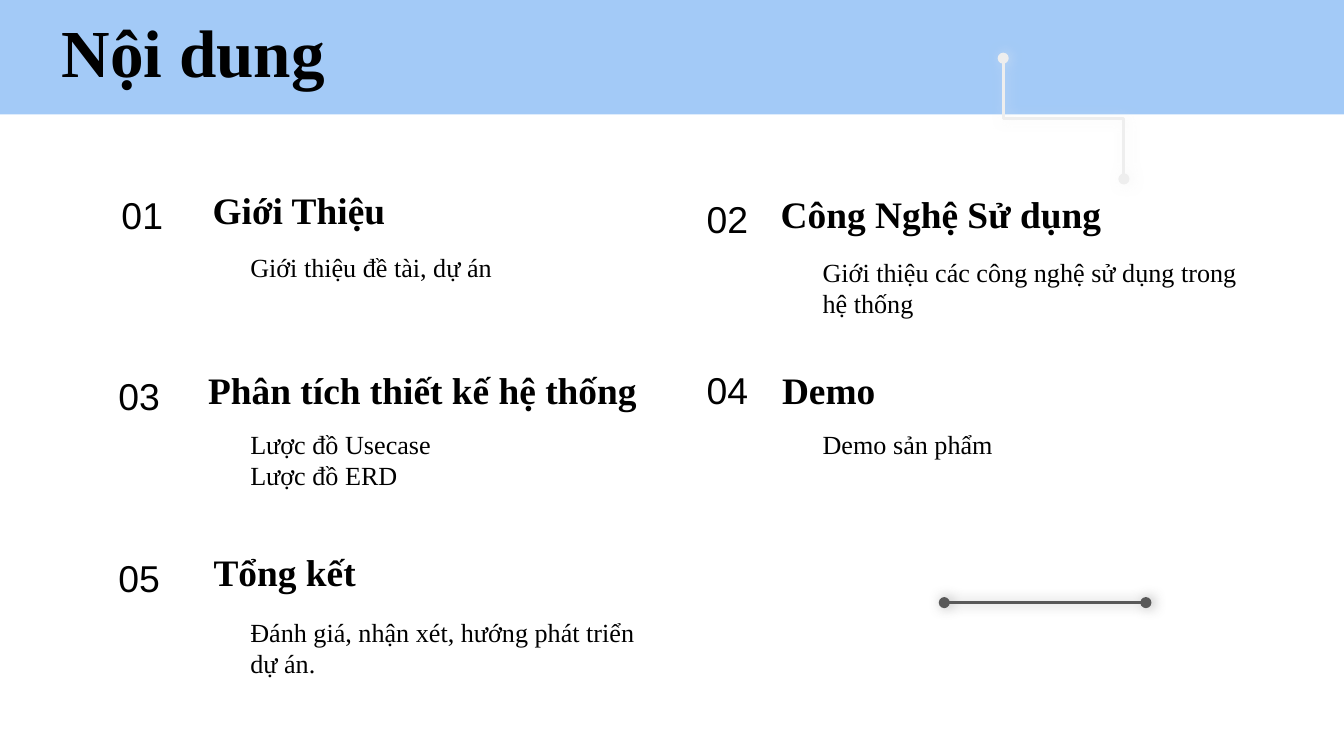
"""Build the table-of-contents slide with five numbered sections."""
from dataclasses import dataclass
from typing import NamedTuple

from lxml import etree
from pptx import Presentation
from pptx.dml.color import RGBColor
from pptx.enum.shapes import MSO_CONNECTOR, MSO_SHAPE
from pptx.enum.text import MSO_ANCHOR, MSO_AUTO_SIZE
from pptx.oxml.ns import qn
from pptx.util import Inches, Pt

ELBOW, STRAIGHT = MSO_CONNECTOR.ELBOW, MSO_CONNECTOR.STRAIGHT
RECT = MSO_SHAPE.RECTANGLE
TOP, MIDDLE = MSO_ANCHOR.TOP, MSO_ANCHOR.MIDDLE
FIT, FIXED = MSO_AUTO_SIZE.SHAPE_TO_FIT_TEXT, MSO_AUTO_SIZE.NONE
CELL = Inches(0.1)
COLUMNS, ROWS = 100, 56.25


class Box(NamedTuple):
    col: float
    row: float
    cols: float
    rows: float


@dataclass(frozen=True)
class Style:
    font: str
    size: int
    bold: bool = False
    anchor: int = TOP
    fit: int = FIXED
    inset: float = 1


@dataclass(frozen=True)
class Theme:
    band: str = "A3CAF7"
    ink: str = "000000"
    pale: str = "EEEEEE"
    dark: str = "595959"
    title: Style = Style("Times New Roman", 36, True, MIDDLE)
    heading: Style = Style("Times New Roman", 20, True, MIDDLE)
    body: Style = Style("Times New Roman", 14)
    number: Style = Style("Arial", 20, fit=FIT, inset=0.5)


@dataclass(frozen=True)
class Section:
    heading: str
    lines: tuple[str, ...]
    number_box: Box
    heading_box: Box
    body_box: Box


THEME = Theme()
SECTIONS = (
    Section("Giới Thiệu", ("Giới thiệu đề tài, dự án",),
            Box(8.06, 13.8, 5.6, 4.4), Box(14.84, 13.8, 26.3, 3.6), Box(17.64, 17.7, 20.4, 4.4)),
    Section("Công Nghệ Sử dụng", ("Giới thiệu các công nghệ sử dụng trong hệ thống",),
            Box(51.6, 14.1, 6.5, 4.4), Box(57.1, 14.1, 35.1, 3.6), Box(60.22, 18.04, 35.1, 6.1)),
    Section("Phân tích thiết kế hệ thống", ("Lược đồ Usecase", "Lược đồ ERD"),
            Box(7.82, 27.3, 5.6, 4.4), Box(14.5, 27.2, 35.9, 3.6), Box(17.64, 30.84, 32.4, 6.1)),
    Section("Demo", ("Demo sản phẩm",),
            Box(51.6, 26.8, 5.6, 4.4), Box(57.2, 27.2, 35.1, 3.6), Box(60.22, 30.84, 35.1, 6.1)),
    Section("Tổng kết", ("Đánh giá, nhận xét, hướng phát triển", "dự án."),
            Box(7.82, 40.84, 5.6, 4.4), Box(14.9, 40.76, 35.1, 3.6), Box(17.64, 44.84, 38.6, 9)),
)


def grid(*lengths: float) -> list[int]:
    """Turn grid lengths into slide units."""
    return [round(n * CELL) for n in lengths]


def add_text(s, box: Box, lines: tuple[str, ...], style: Style) -> None:
    """Write one paragraph per line in a text box."""
    tf = s.shapes.add_textbox(*grid(*box)).text_frame
    side, edge = grid(1, style.inset)
    frame = {"word_wrap": True, "auto_size": style.fit, "vertical_anchor": style.anchor,
             "margin_left": side, "margin_right": side, "margin_top": edge, "margin_bottom": edge}
    for name, value in frame.items():
        setattr(tf, name, value)
    for i, line in enumerate(lines):
        p = tf.add_paragraph() if i else tf.paragraphs[0]
        r = p.add_run()
        r.text = line
        for name, value in {"name": style.font, "size": Pt(style.size), "bold": style.bold}.items():
            setattr(r.font, name, value)
        r.font.color.rgb = RGBColor.from_string(THEME.ink)


def add_dotted_line(s, kind: int, ends: tuple[float, ...], color: str):
    """Draw a connector with oval ends and a soft shadow of its own colour."""
    c = s.shapes.add_connector(kind, *grid(*ends))
    c.line.width = Pt(1.5)
    c.line.color.rgb = RGBColor.from_string(color)
    sp_pr = c._element.spPr
    ln = sp_pr.find(qn("a:ln"))
    for end in ("a:headEnd", "a:tailEnd"):
        etree.SubElement(ln, qn(end), type="oval")
    effects = etree.SubElement(sp_pr, qn("a:effectLst"))
    shadow = etree.SubElement(effects, qn("a:outerShdw"), blurRad=str(Pt(6.8)),
                              dist=str(Pt(1.5)), dir="0", algn="bl", rotWithShape="0")
    tint = etree.SubElement(shadow, qn("a:srgbClr"), val=color)
    etree.SubElement(tint, qn("a:alpha"), val="50000")
    return c


def add_band(s) -> None:
    """Draw the title band across the top."""
    sp = s.shapes.add_shape(RECT, *grid(0, 0, COLUMNS, 8.52))
    sp.shadow.inherit = False
    sp.fill.solid()
    sp.fill.fore_color.rgb = RGBColor.from_string(THEME.band)
    sp.line.fill.background()


def main() -> None:
    """Build and save the slide."""
    prs = Presentation()
    prs.slide_width, prs.slide_height = grid(COLUMNS, ROWS)
    s = prs.slides.add_slide(prs.slide_layouts[6])
    add_band(s)
    add_text(s, Box(3.6, 1.2, 84.4, 5.2), ("Nội dung",), THEME.title)
    for i, section in enumerate(SECTIONS, 1):
        add_text(s, section.heading_box, (section.heading,), THEME.heading)
        add_text(s, section.body_box, section.lines, THEME.body)
        add_text(s, section.number_box, (f"{i:02}",), THEME.number)
    step = add_dotted_line(s, ELBOW, (74.64, 4.33, 83.62, 13.31), THEME.pale)
    xfrm = step._element.spPr.find(qn("a:xfrm"))
    for name, value in {"rot": "16200000", "flipH": "1"}.items():
        xfrm.set(name, value)
    add_dotted_line(s, STRAIGHT, (70.26, 44.84, 85.26, 44.84), THEME.dark)
    prs.save("out.pptx")


if __name__ == "__main__":
    main()
